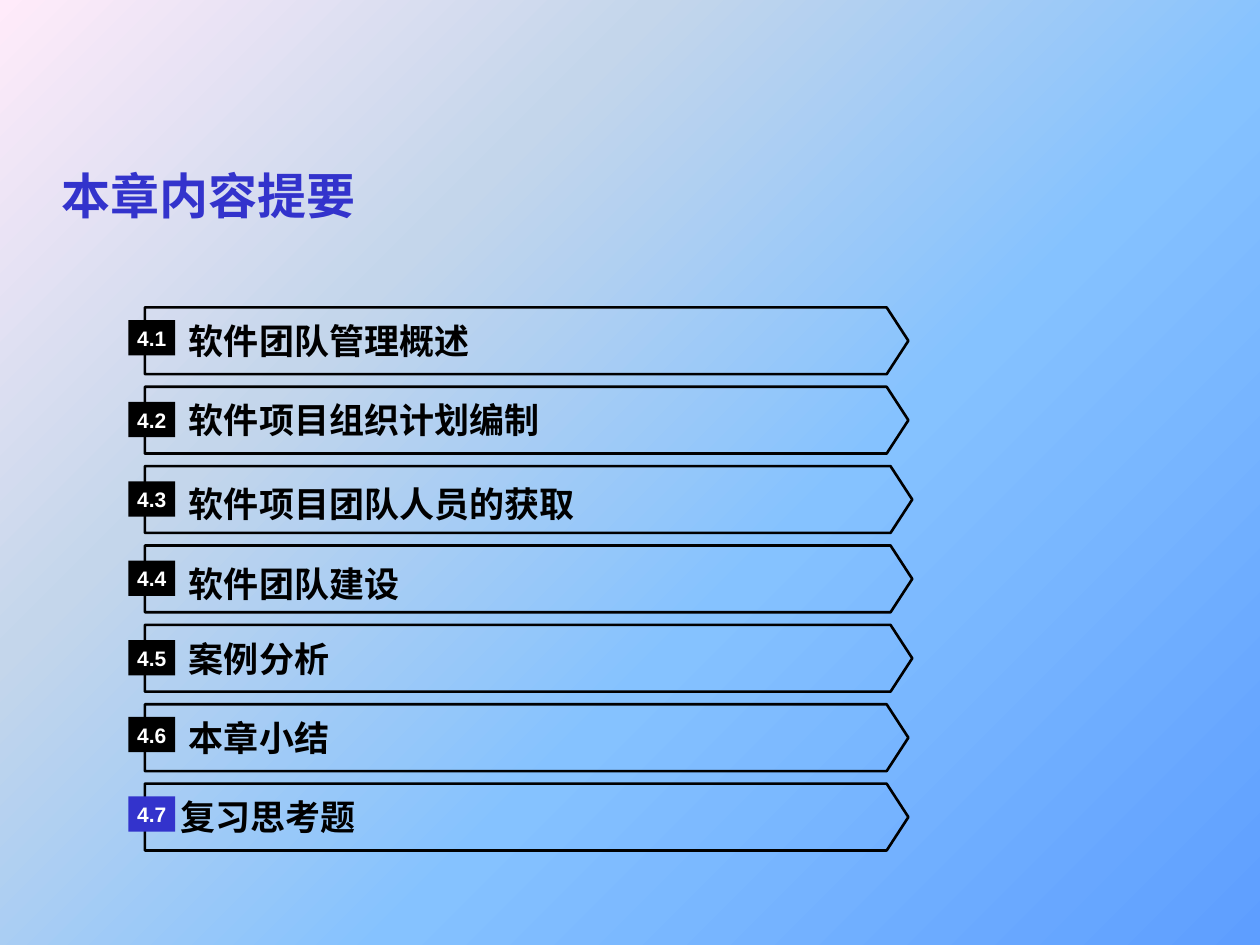
from lxml import etree
from pptx import Presentation
from pptx import util as u
from pptx.dml.color import RGBColor
from pptx.enum import shapes, text
from pptx.oxml.ns import qn

COLORS = {"accent": "3333CC", "ink": "000000", "light": "FFFFFF"}
BACKGROUND = [(0, "5E9EFF"), (40, "85C2FF"), (70, "C4D6EB"), (100, "FFEBFA")]
ROW_TOP, ROW_PITCH, ROW_H = 2.44, 0.63, 0.53
PLATE_X, BADGE_X, LABEL_X = 1.15, 1.02, 1.5
BADGE_W, BADGE_H, LABEL_W, LABEL_H = 0.37, 0.28, 5.3, 0.34

# label, plate width, badge offset, label centre offset, label indent, badge colour
ROWS = [
    ("软件团队管理概述", 6.06, 0.1, 0.26, 0, "ink"),
    ("软件项目组织计划编制", 6.06, 0.12, 0.26, 0, "ink"),
    ("软件项目团队人员的获取", 6.09, 0.12, 0.3, 0, "ink"),
    ("软件团队建设", 6.09, 0.12, 0.3, 0, "ink"),
    ("案例分析", 6.09, 0.12, 0.27, 0, "ink"),
    ("本章小结", 6.06, 0.1, 0.26, 0, "ink"),
    ("复习思考题", 6.06, 0.1, 0.26, -0.07, "accent"),
]


def rgb(name):
    return RGBColor.from_string(COLORS[name])


def box(x, y, w, h):
    return [u.Inches(v) for v in (x, y, w, h)]


def paint_background(slide):
    fill = slide.background.fill
    fill.gradient()
    fill.gradient_angle = 135
    stops = next(slide.element.iter(qn("a:gsLst")))
    for gs in list(stops):
        stops.remove(gs)
    for pos, color in BACKGROUND:
        gs = etree.SubElement(stops, qn("a:gs"), pos=str(pos * 1000))
        etree.SubElement(gs, qn("a:srgbClr"), val=color)


def write(sp, content, size, font, color, align=text.PP_ALIGN.LEFT, inset=0):
    tf = sp.text_frame
    tf.text = content
    tf.word_wrap = True
    tf.vertical_anchor = text.MSO_ANCHOR.MIDDLE
    tf.margin_left = tf.margin_right = u.Inches(inset)
    tf.margin_top = tf.margin_bottom = 0
    p = tf.paragraphs[0]
    p.alignment = align
    f = p.runs[0].font
    f.size, f.name, f.bold = u.Pt(size), font, True
    f.color.rgb = rgb(color)


def add_plate(parent, y, width):
    sp = parent.shapes.add_shape(shapes.MSO_SHAPE.PENTAGON, *box(PLATE_X, y, width, ROW_H))
    sp.adjustments[0] = 0.325
    sp.shadow.inherit = False
    sp.fill.background()
    sp.line.color.rgb = rgb("ink")
    sp.line.width = u.Pt(1.5)


def add_badge(parent, y, number, color):
    sp = parent.shapes.add_shape(shapes.MSO_SHAPE.RECTANGLE, *box(BADGE_X, y, BADGE_W, BADGE_H))
    sp.shadow.inherit = False
    sp.fill.solid()
    sp.fill.fore_color.rgb = rgb(color)
    sp.line.fill.background()
    write(sp, number, 12, "Arial", "light", text.PP_ALIGN.CENTER)


def add_row(slide, i, label, width, badge_dy, label_dy, indent, color):
    group = slide.shapes.add_group_shape()
    y = ROW_TOP + i * ROW_PITCH
    add_plate(group, y, width)
    sp = group.shapes.add_textbox(
        *box(LABEL_X + indent, y + label_dy - LABEL_H / 2, LABEL_W, LABEL_H))
    write(sp, label, 20, "Times New Roman", "ink")
    add_badge(group, y + badge_dy, f"4.{i + 1}", color)


def main():
    prs = Presentation()
    prs.slide_width, prs.slide_height = u.Inches(10), u.Inches(7.5)
    slide = prs.slides.add_slide(prs.slide_layouts[6])
    paint_background(slide)
    title = slide.shapes.add_textbox(*box(0.39, 1.15, 9.61, 0.79))
    write(title, "本章内容提要", 28, "Arial", "accent", inset=0.1)
    for i, row in enumerate(ROWS):
        add_row(slide, i, *row)
    prs.save("out.pptx")


main()
